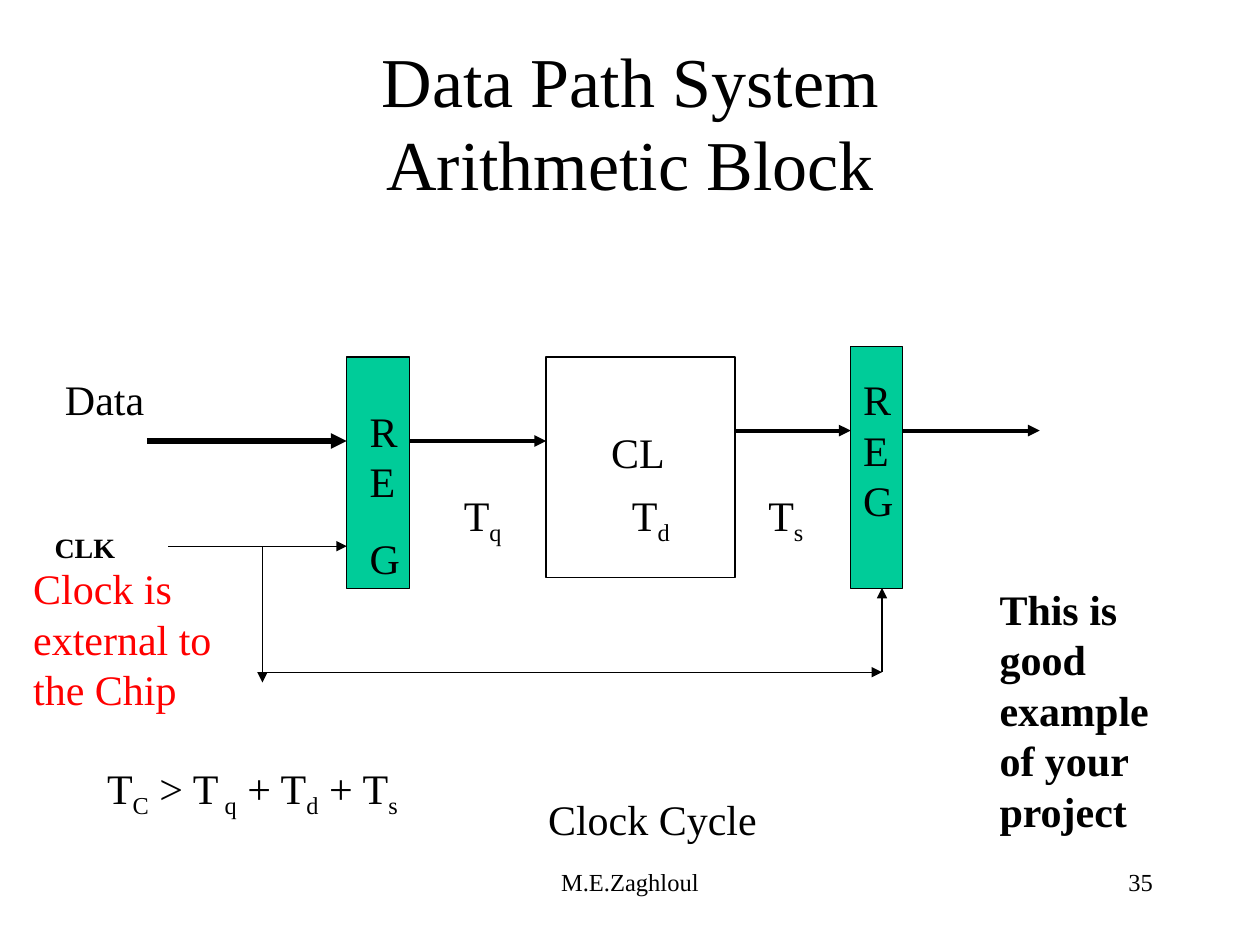
from typing import NamedTuple

import pptx
import pptx.dml.color
import pptx.enum.shapes
import pptx.enum.text
import pptx.oxml.ns
import pptx.util
from lxml import etree
from pptx.util import Cm

ALIGN = pptx.enum.text.PP_ALIGN
ANCHOR = pptx.enum.text.MSO_ANCHOR
BLACK, WHITE, GREEN, RED = "000000", "FFFFFF", "00CC99", "FF0000"

DATA_Y, OUTPUT_Y, CLOCK_Y, RETURN_Y = 8.89, 8.68, 11.01, 13.55
INPUT_REG_LEFT, INPUT_REG_RIGHT = 6.99, 8.26
LOGIC_LEFT, LOGIC_RIGHT = 11.01, 14.82
OUTPUT_REG_LEFT, OUTPUT_REG_RIGHT = 17.15, 18.2
BRANCH_X, OUTPUT_CLOCK_X = 5.29, 17.78


class Block(NamedTuple):
    left: float
    top: float
    right: float
    height: float
    fill: str


class Arrow(NamedTuple):
    x1: float
    y1: float
    x2: float
    y2: float
    width: float = 0.75


class Label(NamedTuple):
    left: float
    top: float
    width: float
    height: float
    paragraphs: tuple[str, ...]
    style: dict = {}


BLOCKS = [
    Block(LOGIC_LEFT, 7.2, LOGIC_RIGHT, 4.45, WHITE),
    Block(INPUT_REG_LEFT, 7.2, INPUT_REG_RIGHT, 4.66, GREEN),
    Block(OUTPUT_REG_LEFT, 6.99, OUTPUT_REG_RIGHT, 4.87, GREEN),
]
ARROWS = [
    Arrow(2.96, DATA_Y, INPUT_REG_LEFT, DATA_Y, 3),
    Arrow(INPUT_REG_RIGHT, DATA_Y, LOGIC_LEFT, DATA_Y, 2.25),
    Arrow(LOGIC_RIGHT, OUTPUT_Y, OUTPUT_REG_LEFT, OUTPUT_Y, 2.25),
    Arrow(OUTPUT_REG_RIGHT, OUTPUT_Y, 20.96, OUTPUT_Y, 2.25),
    Arrow(3.39, CLOCK_Y, INPUT_REG_LEFT, CLOCK_Y),
    Arrow(BRANCH_X, CLOCK_Y, BRANCH_X, 13.76),
    Arrow(BRANCH_X, RETURN_Y, OUTPUT_CLOCK_X, RETURN_Y),
    Arrow(OUTPUT_CLOCK_X, RETURN_Y, OUTPUT_CLOCK_X, 11.85),
]
LABELS = [
    Label(8.68, 17.36, 8.04, 1.27, ("M.E.Zaghloul",), dict(size=14, align=ALIGN.CENTER)),
    Label(18.2, 17.36, 5.29, 1.27, ("35",), dict(size=14, align=ALIGN.RIGHT)),
    Label(1.91, 0.85, 21.59, 3.18, ("Data Path System\nArithmetic Block",),
          dict(size=40, align=ALIGN.CENTER, anchor=ANCHOR.MIDDLE)),
    Label(12.07, 8.47, 1.91, 1.27, ("CL",)),
    Label(7.2, 8.05, 1.06, 3.84, ("RE", "G")),
    Label(17.15, 7.41, 1.06, 3.3, ("REG",)),
    Label(0.85, 10.58, 2.12, 0.94, ("CLK",), dict(size=16, bold=True)),
    Label(1.06, 7.41, 3.6, 1.27, ("Data",)),
    Label(9.1, 9.74, 1.69, 1.42, ("T|q",)),
    Label(12.49, 9.74, 1.9, 1.42, ("T|d",)),
    Label(15.24, 9.74, 1.69, 1.42, ("T|s",)),
    Label(1.91, 15.24, 17.78, 1.42, ("T|C| > T| q| + T|d| + T|s",)),
    Label(10.8, 15.88, 7.2, 1.27, ("Clock Cycle",)),
    Label(19.9, 11.64, 4.02, 5.33, ("This is good example of your project",), dict(bold=True)),
    Label(0.42, 11.22, 4.66, 3.3, ("Clock is external to the Chip",), dict(color=RED)),
]


def rgb(value: str) -> pptx.dml.color.RGBColor:
    return pptx.dml.color.RGBColor.from_string(value)


def draw_block(page, block: Block) -> None:
    shape = page.shapes.add_shape(
        pptx.enum.shapes.MSO_SHAPE.RECTANGLE, Cm(block.left), Cm(block.top),
        Cm(block.right - block.left), Cm(block.height))
    shape.shadow.inherit = False
    shape.fill.solid()
    shape.fill.fore_color.rgb = rgb(block.fill)
    shape.line.color.rgb = rgb(BLACK)
    shape.line.width = pptx.util.Pt(0.75)


def draw_arrow(page, arrow: Arrow) -> None:
    connector = page.shapes.add_connector(
        pptx.enum.shapes.MSO_CONNECTOR.STRAIGHT,
        Cm(arrow.x1), Cm(arrow.y1), Cm(arrow.x2), Cm(arrow.y2))
    connector.line.color.rgb = rgb(BLACK)
    connector.line.width = pptx.util.Pt(arrow.width)
    qualify = pptx.oxml.ns.qn
    properties = connector.element.spPr
    etree.SubElement(properties.find(qualify("a:ln")), qualify("a:tailEnd"), type="triangle")
    etree.SubElement(properties, qualify("a:effectLst"))


def write_text(para, text: str, *, size: float, bold: bool, color: str) -> None:
    """Write lines split at line ends; every second piece between bars is a subscript."""
    for row, line in enumerate(text.split("\n")):
        if row:
            para.add_line_break()
        for index, piece in enumerate(line.split("|")):
            span = para.add_run()
            span.text = piece
            span.font.name = "Times New Roman"
            span.font.size = pptx.util.Pt(size)
            span.font.bold = bold
            span.font.color.rgb = rgb(color)
            if index % 2:
                span.font._element.set("baseline", "-25000")


def add_text(page, label: Label, *, size: float = 24, bold: bool = False, color: str = BLACK,
             align=ALIGN.LEFT, anchor=ANCHOR.TOP) -> None:
    box = page.shapes.add_textbox(
        Cm(label.left), Cm(label.top), Cm(label.width), Cm(label.height))
    frame = box.text_frame
    frame.word_wrap = True
    frame.vertical_anchor = anchor
    for index, text in enumerate(label.paragraphs):
        para = frame.add_paragraph() if index else frame.paragraphs[0]
        para.alignment = align
        if index:
            para.space_before = pptx.util.Pt(15)
        write_text(para, text, size=size, bold=bold, color=color)


def main() -> None:
    deck = pptx.Presentation()
    deck.slide_width, deck.slide_height = Cm(25.4), Cm(19.05)
    page = deck.slides.add_slide(deck.slide_layouts[6])
    for block in BLOCKS:
        draw_block(page, block)
    for arrow in ARROWS:
        draw_arrow(page, arrow)
    for label in LABELS:
        add_text(page, label, **label.style)
    deck.save("out.pptx")


if __name__ == "__main__":
    main()
